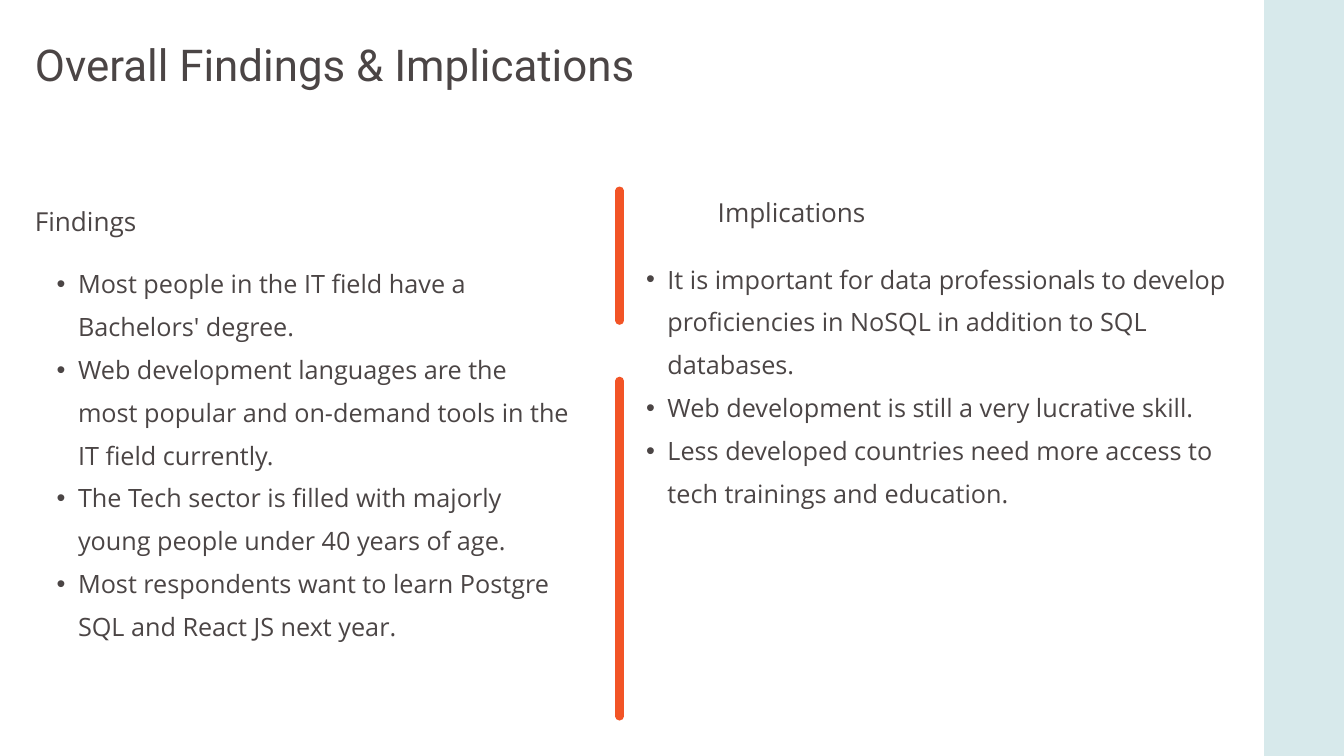
"""Build the findings and implications slide."""
from lxml import etree
from pptx import Presentation
from pptx import util as u
from pptx.dml.color import RGBColor
from pptx.enum import shapes, text
from pptx.oxml.ns import qn

COLORS = {"ink": "4B4545", "stripe": "D7E9EB", "divider": "F25426"}
PAGE_WIDTH, PAGE_HEIGHT = 50.8, 28.58
STRIPE_WIDTH = 3.02
TITLE = {"text": "Overall Findings & Implications", "box": (1.32, 0.86, 37.16, 2.39)}
COLUMNS = [
    {
        "heading": "Findings",
        "heading_box": (1.32, 7.57, 20, 1.35),
        "points": [
            "Most people in the IT field have a Bachelors' degree.",
            "Web development languages are the most popular and on-demand tools in the IT field currently.",
            "The Tech sector is filled with majorly young people under 40 years of age.",
            "Most respondents want to learn Postgre SQL and React JS next year.",
        ],
        "points_box": (1.32, 9.68, 20.22, 16.03),
    },
    {
        "heading": "Implications",
        "heading_box": (27.13, 7.21, 20, 1.35),
        "points": [
            "It is important for data professionals to develop proficiencies in NoSQL in addition to SQL databases.",
            "Web development is still a very lucrative skill.",
            "Less developed countries need more access to tech trainings and education.",
        ],
        "points_box": (23.6, 9.5, 23.24, 11.2),
    },
]
DIVIDER_X = 23.42
DIVIDER_SPANS = [(7.21, 12.12), (14.4, 27.08)]


def color(name):
    return RGBColor.from_string(COLORS[name])


def lengths(values):
    return [u.Cm(value) for value in values]


def add_bullet(para):
    props = para._p.get_or_add_pPr()
    props.set("marL", str(u.Cm(1.63)))
    props.set("indent", str(u.Cm(-0.81)))
    etree.SubElement(props, qn("a:buFont")).set("typeface", "Arial")
    etree.SubElement(props, qn("a:buChar")).set("char", "•")


def write(box, lines, font, size, spacing, bulleted=False):
    frame = box.text_frame
    frame.word_wrap = True
    frame.auto_size = text.MSO_AUTO_SIZE.NONE
    frame.vertical_anchor = text.MSO_ANCHOR.TOP
    frame.margin_left = frame.margin_right = frame.margin_top = frame.margin_bottom = 0
    frame.text = "\n".join(lines)
    for para in frame.paragraphs:
        if bulleted:
            para.level = 1
            add_bullet(para)
        para.alignment = text.PP_ALIGN.LEFT
        para.line_spacing = u.Pt(spacing)
        para.font.name = font
        para.font.size = u.Pt(size)
        para.font.color.rgb = color("ink")


def add_stripe(page):
    stripe = page.shapes.add_shape(
        shapes.MSO_SHAPE.RECTANGLE,
        *lengths((PAGE_WIDTH - STRIPE_WIDTH, 0, STRIPE_WIDTH, PAGE_HEIGHT)))
    stripe.shadow.inherit = False
    stripe.fill.solid()
    stripe.fill.fore_color.rgb = color("stripe")
    stripe.line.fill.background()


def add_divider(page, top, bottom):
    divider = page.shapes.add_connector(
        shapes.MSO_CONNECTOR.STRAIGHT, *lengths((DIVIDER_X, top, DIVIDER_X, bottom)))
    divider.line.color.rgb = color("divider")
    divider.line.width = u.Pt(9)
    divider.line._ln.set("cap", "rnd")
    etree.SubElement(divider._element.spPr, qn("a:effectLst"))


def main():
    deck = Presentation()
    deck.slide_width, deck.slide_height = lengths((PAGE_WIDTH, PAGE_HEIGHT))
    page = deck.slides.add_slide(deck.slide_layouts[5])
    add_stripe(page)
    title = page.shapes.title
    title.left, title.top, title.width, title.height = lengths(TITLE["box"])
    write(title, [TITLE["text"]], "Roboto", 47, 72.4)
    for top, bottom in DIVIDER_SPANS:
        add_divider(page, top, bottom)
    for column in COLUMNS:
        heading = page.shapes.add_textbox(*lengths(column["heading_box"]))
        write(heading, [column["heading"]], "Open Sans", 28, 39.2)
        points = page.shapes.add_textbox(*lengths(column["points_box"]))
        write(points, column["points"], "Open Sans", 27, 45.9, bulleted=True)
    deck.save("out.pptx")


if __name__ == "__main__":
    main()
